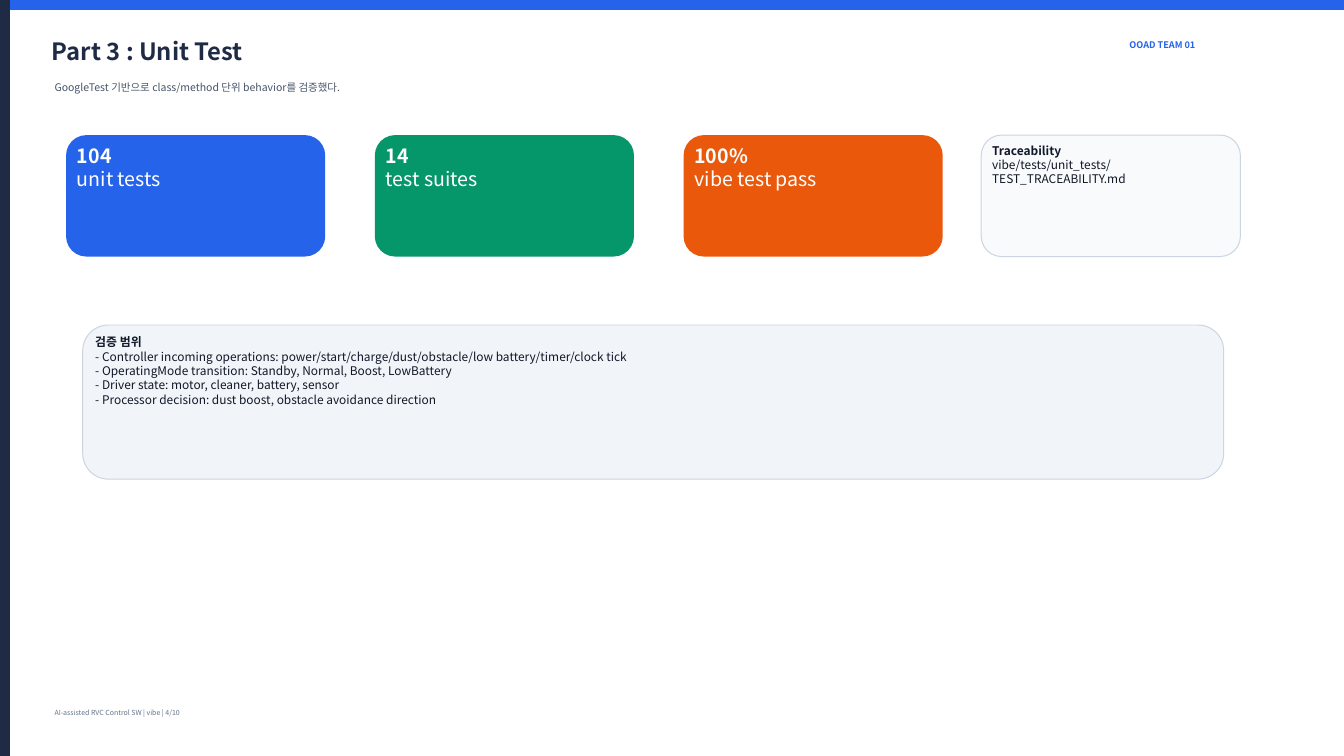
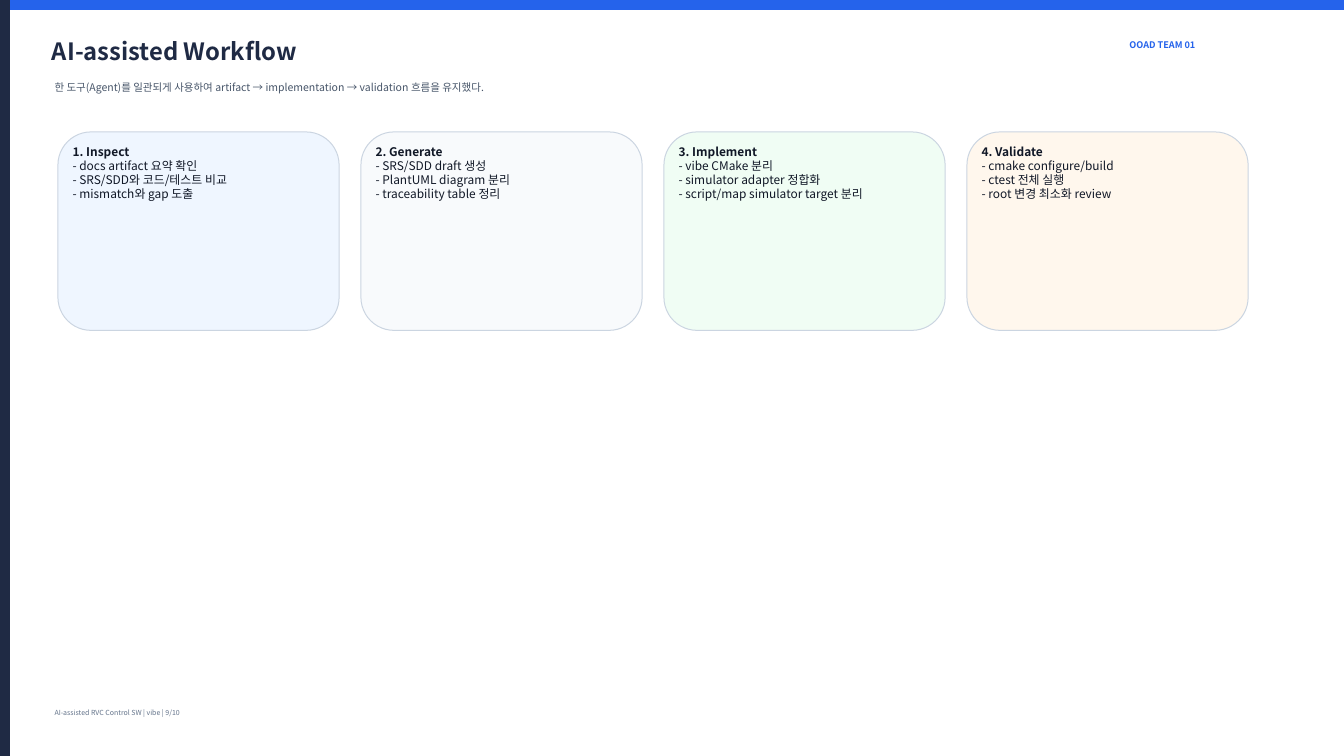
from pptx import Presentation
from pptx.dml.color import RGBColor
from pptx.enum.shapes import MSO_SHAPE
from pptx.enum.text import MSO_ANCHOR, MSO_AUTO_SIZE, PP_ALIGN
from pptx.util import Cm, Pt
from pptx.oxml.ns import qn
from lxml import etree

RECT, ROUNDED = MSO_SHAPE.RECTANGLE, MSO_SHAPE.ROUNDED_RECTANGLE
TOP, LEFT, FIT = MSO_ANCHOR.TOP, PP_ALIGN.LEFT, MSO_AUTO_SIZE.SHAPE_TO_FIT_TEXT

# Content: each card is (fill, heading, other lines)
TEAM = "OOAD TEAM 01"
FOOTER = "AI-assisted RVC Control SW | vibe | {}/10"

UNIT_TEST = {
    "title": "Part 3 : Unit Test",
    "subtitle": "GoogleTest 기반으로 class/method 단위 behavior를 검증했다.",
    "page": 4,
}
METRICS = [
    ("blue", "104", ["unit tests"]),
    ("green", "14", ["test suites"]),
    ("orange", "100%", ["vibe test pass"]),
]
TRACEABILITY = ("pale", "Traceability", ["vibe/tests/unit_tests/TEST_TRACEABILITY.md"])
SCOPE = ("mist", "검증 범위", [
    "- Controller incoming operations: power/start/charge/dust/obstacle/low battery/timer/clock tick",
    "- OperatingMode transition: Standby, Normal, Boost, LowBattery",
    "- Driver state: motor, cleaner, battery, sensor",
    "- Processor decision: dust boost, obstacle avoidance direction",
])

WORKFLOW = {
    "title": "AI-assisted Workflow",
    "subtitle": "한 도구(Agent)를 일관되게 사용하여 artifact → implementation → validation 흐름을 유지했다.",
    "page": 9,
}
STEPS = [
    ("pale_blue", "1. Inspect",
     ["- docs artifact 요약 확인", "- SRS/SDD와 코드/테스트 비교", "- mismatch와 gap 도출"]),
    ("pale", "2. Generate",
     ["- SRS/SDD draft 생성", "- PlantUML diagram 분리", "- traceability table 정리"]),
    ("pale_green", "3. Implement",
     ["- vibe CMake 분리", "- simulator adapter 정합화", "- script/map simulator target 분리"]),
    ("pale_orange", "4. Validate",
     ["- cmake configure/build", "- ctest 전체 실행", "- root 변경 최소화 review"]),
]

# Shared style
FONT = "Noto Sans CJK KR"
COLORS = {
    "blue": "2563EB", "navy": "1F2A44", "green": "059669", "orange": "EA580C",
    "white": "FFFFFF", "ink": "111827", "slate": "475569", "gray": "64748B",
    "border": "CBD5E1", "pale": "F8FAFC", "mist": "F1F5F9",
    "pale_blue": "EFF6FF", "pale_green": "F0FDF4", "pale_orange": "FFF7ED",
}
STYLES = {  # size, colour, bold
    "title": (34, "navy", True),
    "subtitle": (15, "slate", False),
    "team": (13, "blue", True),
    "footer": (10, "gray", False),
    "metric": (28, "white", False),
    "card": (17, "ink", False),
}
WIDTH, HEIGHT, BAND = 67.73, 38.1, 0.5
FRAME = {  # left, top, width, height in cm
    "title": (2.37, 1.72, 50, 2.37),
    "subtitle": (2.5, 3.94, 52.78, 1.45),
    "team": (56.67, 1.84, 7.5, 1.17),
    "footer": (2.5, 35.6, 33.33, 0.84),
}


def rgb(name):
    return RGBColor.from_string(COLORS[name])


def cm(box):
    return [Cm(value) for value in box]


def write(shape, lines, style, heading=False):
    size, color, bold = STYLES[style]
    frame = shape.text_frame
    for name, value in {"word_wrap": True, "auto_size": FIT, "vertical_anchor": TOP}.items():
        setattr(frame, name, value)
    for i, line in enumerate(lines):
        paragraph = frame.paragraphs[0] if i == 0 else frame.add_paragraph()
        paragraph.alignment = LEFT
        run = paragraph.add_run()
        run.text = line
        font_format = {"size": Pt(size), "name": FONT, "bold": bold or (heading and i == 0)}
        for name, value in font_format.items():
            setattr(run.font, name, value)
        run.font.color.rgb = rgb(color)
        # Korean glyphs take the East Asian typeface
        etree.SubElement(run.font._element, qn("a:ea"), typeface=FONT)


def add_block(slide, kind, box, fill, border=None):
    shape = slide.shapes.add_shape(kind, *cm(box))
    shape.shadow.inherit = False
    shape.fill.solid()
    shape.fill.fore_color.rgb = rgb(fill)
    if border:
        shape.line.color.rgb = rgb(border)
        shape.line.width = Pt(1.42)
    else:
        shape.line.fill.background()
    return shape


def add_card(slide, card, box, style="card"):
    fill, heading, lines = card
    border = "border" if style == "card" else None
    write(add_block(slide, ROUNDED, box, fill, border), [heading, *lines], style, heading=True)


def add_row(slide, cards, first_box, pitch, style="card"):
    left, *rest = first_box
    for i, card in enumerate(cards):
        add_card(slide, card, (left + i * pitch, *rest), style)


def add_slide(prs, content):
    slide = prs.slides.add_slide(prs.slide_layouts[6])
    add_block(slide, RECT, (0, 0, WIDTH, BAND), "blue")
    add_block(slide, RECT, (0, 0, BAND, HEIGHT), "navy")
    texts = {
        "title": content["title"],
        "subtitle": content["subtitle"],
        "team": TEAM,
        "footer": FOOTER.format(content["page"]),
    }
    for part, text in texts.items():
        write(slide.shapes.add_textbox(*cm(FRAME[part])), [text], part)
    return slide


def main():
    prs = Presentation()
    prs.slide_width, prs.slide_height = Cm(WIDTH), Cm(HEIGHT)

    # Unit test figures and scope
    unit_test = add_slide(prs, UNIT_TEST)
    top, width, height = 6.81, 13.06, 6.12
    add_row(unit_test, METRICS, (3.33, top, width, height), 15.56, "metric")
    add_card(unit_test, TRACEABILITY, (49.45, top, width, height))
    add_card(unit_test, SCOPE, (4.17, 16.38, 57.5, 7.77))

    # Workflow steps
    workflow = add_slide(prs, WORKFLOW)
    add_row(workflow, STEPS, (2.92, 6.65, 14.17, 10), 15.27)

    prs.save("out.pptx")


if __name__ == "__main__":
    main()
